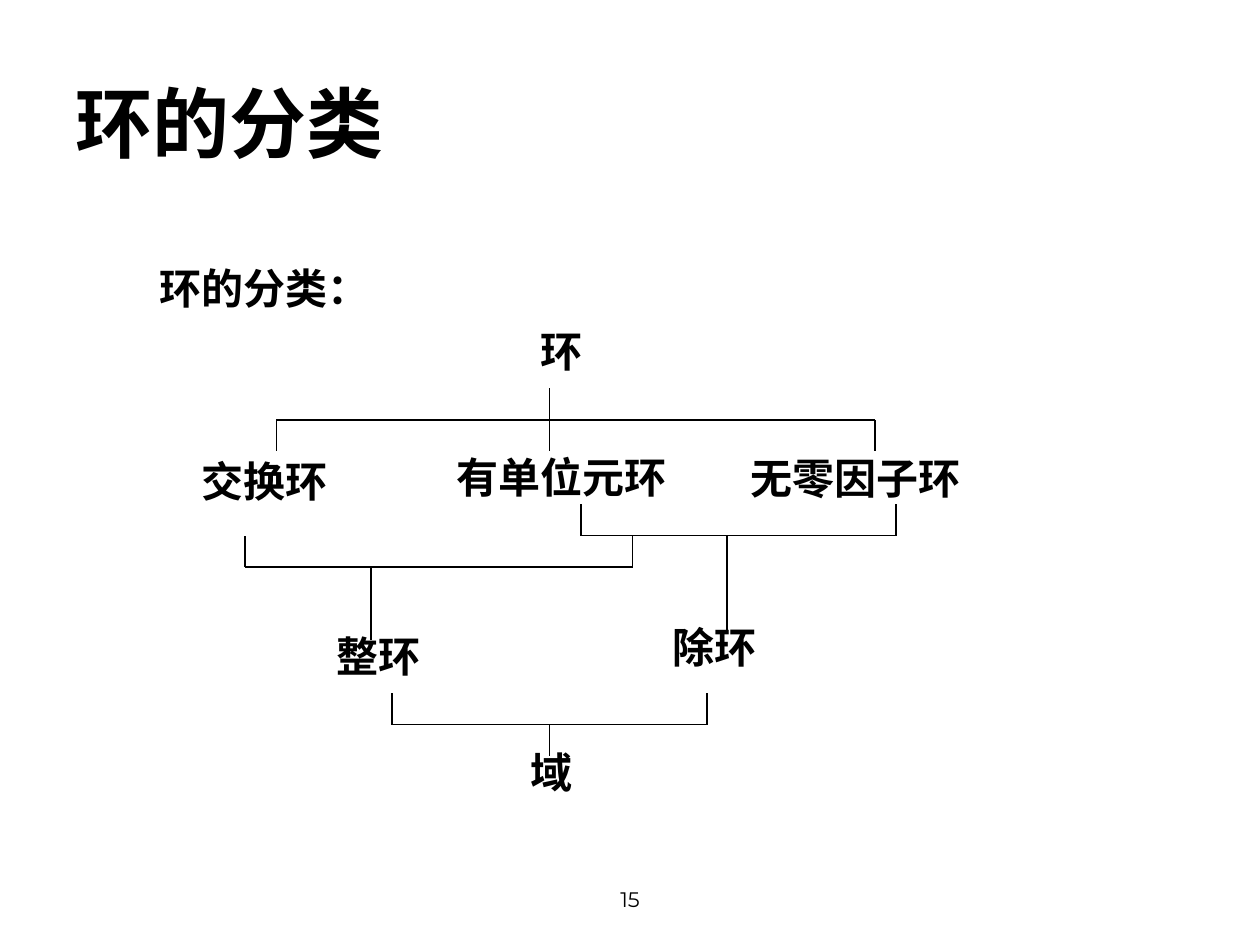
from lxml.etree import SubElement
from pptx import Presentation
from pptx.dml.color import RGBColor
from pptx.enum.shapes import MSO_CONNECTOR as CONN
from pptx.enum.text import MSO_ANCHOR as ANCHOR, MSO_AUTO_SIZE as FIT, PP_ALIGN as ALIGN
from pptx.oxml.ns import qn
from pptx.util import Pt

BLACK = RGBColor(0, 0, 0)


def write(tf, text, font="Times New Roman", size=24, bold=True,
          align=ALIGN.LEFT, anchor=ANCHOR.TOP, wrap=False, fit=FIT.NONE):
    """Put one formatted paragraph into a text frame."""
    tf.word_wrap, tf.auto_size, tf.vertical_anchor = wrap, fit, anchor
    p = tf.paragraphs[0]
    p.alignment, p.line_spacing = align, 0.9
    r = p.add_run()
    r.text = text
    r.font.name, r.font.size, r.font.bold = font, Pt(size), bold
    r.font.color.rgb = BLACK


class Diagram:
    """Hold the slide and the line style of a classification tree."""

    def __init__(self, s, color=BLACK, weight=0.75, leg=18):
        """Keep the slide and style."""
        self.s, self.color, self.weight, self.leg = s, color, weight, leg

    def title(self, text, x, y, w, h):
        """Place and fill the title placeholder."""
        sp = self.s.shapes.title
        sp.left, sp.top, sp.width, sp.height = map(Pt, (x, y, w, h))
        write(sp.text_frame, text, font="Calibri", size=44, wrap=True)

    def text(self, text, x, y, w, h=36.7, **style):
        """Add a text box."""
        sp = self.s.shapes.add_textbox(*map(Pt, (x, y, w, h)))
        write(sp.text_frame, text, **style)

    def label(self, text, x, y):
        """Add a label as wide as its characters."""
        self.text(text, x, y, 14.4 + 24 * len(text), fit=FIT.SHAPE_TO_FIT_TEXT)

    def line(self, x1, y1, x2, y2):
        """Add a plain straight line."""
        c = self.s.shapes.add_connector(CONN.STRAIGHT, *map(Pt, (x1, y1, x2, y2)))
        c.line.color.rgb, c.line.width = self.color, Pt(self.weight)
        SubElement(c._element.spPr, qn("a:effectLst"))

    def bracket(self, y, legs, stem, length):
        """Add a bar with legs on one side and a stem on the other, up if negative."""
        leg = self.leg if length < 0 else -self.leg
        self.line(legs[0], y, legs[-1], y)
        for x in legs:
            self.line(x, y, x, y + leg)
        self.line(stem, y, stem, y + length)


prs = Presentation()
prs.slide_width, prs.slide_height = Pt(720), Pt(540)
s = prs.slides.add_slide(prs.slide_layouts[5])
d = Diagram(s)

d.title("环的分类", 36, 45.4, 648, 80.6)
d.label("环的分类：", 84, 149.8)

for text, x, y in [
    ("环", 301.7, 185.8),
    ("交换环", 108, 259.9),
    ("有单位元环", 253.6, 257.8),
    ("无零因子环", 421.9, 258.5),
    ("整环", 185.2, 360),
    ("除环", 377.3, 355),
    ("域", 295.9, 426.2),
]:
    d.label(text, x, y)

for y, legs, stem, length in [
    (240, (158, 314, 500), 314, -18),
    (306, (332, 512), 415.5, 54),
    (324, (140, 361.5), 212, 42),
    (414, (224, 404), 314, 18),
]:
    d.bracket(y, legs, stem, length)

d.text("15", 246, 500.4, 228, 28.8, font="Montserrat", size=12, bold=False,
       align=ALIGN.CENTER, anchor=ANCHOR.MIDDLE, wrap=True)

prs.save("out.pptx")
